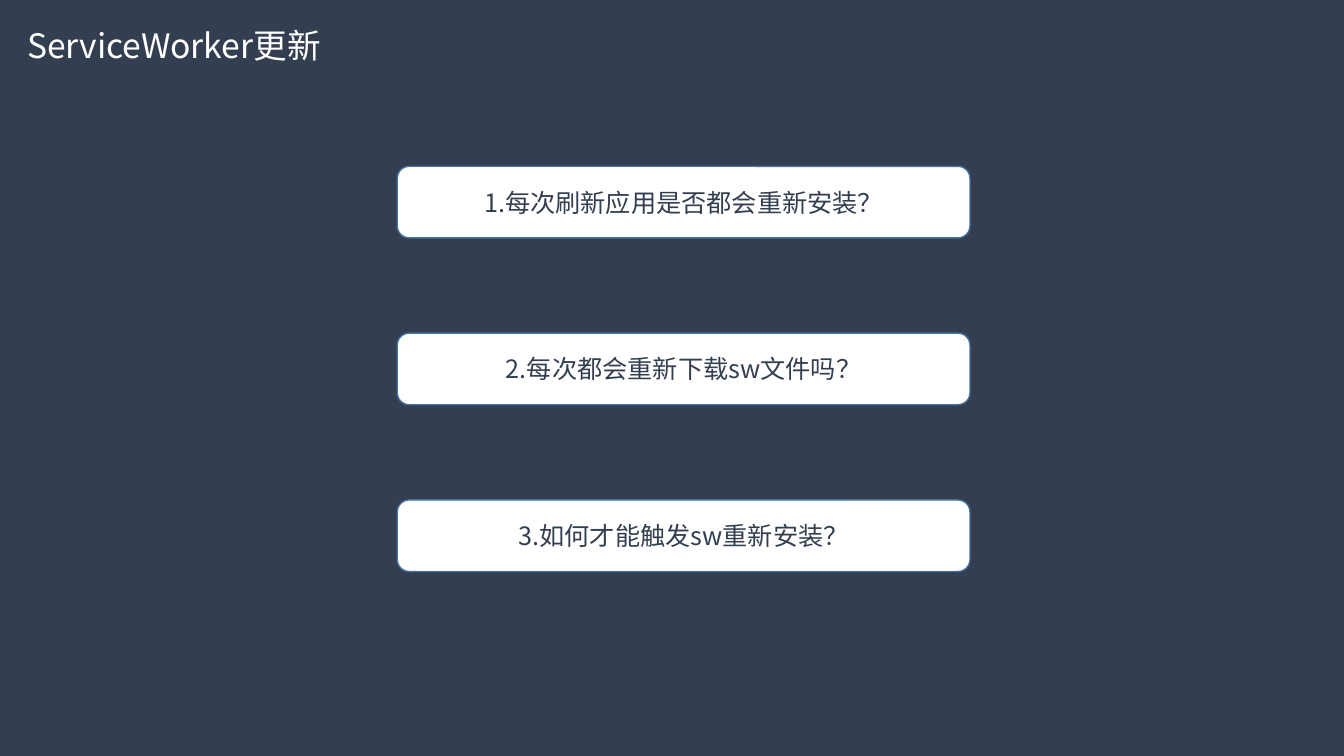
from lxml.etree import SubElement
from pptx import Presentation
from pptx.dml.color import RGBColor
from pptx.enum.shapes import MSO_SHAPE
from pptx.enum.text import MSO_ANCHOR, MSO_AUTO_SIZE, PP_ALIGN
from pptx.oxml.ns import qn
from pptx.util import Inches, Pt

FONT = "Noto Sans CJK SC"
COLORS = {"background": "333F50", "white": "FFFFFF", "outline": "43739E"}

# Question cards, in inches
CARD_LEFT, CARD_TOP = 3.94, 1.65
CARD_WIDTH, CARD_HEIGHT = 5.68, 0.71
CARD_PITCH = 1.655

QUESTIONS = [
    "1.每次刷新应用是否都会重新安装？",
    "2.每次都会重新下载sw文件吗？",
    "3.如何才能触发sw重新安装？",
]


def color(name):
    return RGBColor.from_string(COLORS[name])


def add_run(paragraph, text, size, color_name):
    run = paragraph.add_run()
    run.text = text
    run.font.size = Pt(size)
    run.font.color.rgb = color(color_name)
    run.font.name = FONT
    # The East Asian typeface has no public setter
    SubElement(run._r.get_or_add_rPr(), qn("a:ea"), typeface=FONT)


def add_title(slide, text):
    box = slide.shapes.add_textbox(Inches(0.17), Inches(0.2), Inches(5.26), Inches(0.5))
    frame = box.text_frame
    frame.word_wrap = True
    frame.auto_size = MSO_AUTO_SIZE.SHAPE_TO_FIT_TEXT
    add_run(frame.paragraphs[0], text, 24, "white")


def add_question(slide, row, text):
    card = slide.shapes.add_shape(
        MSO_SHAPE.ROUNDED_RECTANGLE,
        Inches(CARD_LEFT), Inches(CARD_TOP + row * CARD_PITCH),
        Inches(CARD_WIDTH), Inches(CARD_HEIGHT),
    )
    card.shadow.inherit = False
    card.fill.solid()
    card.fill.fore_color.rgb = color("white")
    card.line.color.rgb = color("outline")
    card.line.width = Pt(1)
    frame = card.text_frame
    frame.word_wrap = True
    frame.vertical_anchor = MSO_ANCHOR.MIDDLE
    paragraph = frame.paragraphs[0]
    paragraph.alignment = PP_ALIGN.CENTER
    add_run(paragraph, text, 18, "background")


def main():
    presentation = Presentation()
    presentation.slide_width = Inches(13.33)
    presentation.slide_height = Inches(7.5)
    slide = presentation.slides.add_slide(presentation.slide_layouts[6])

    # Background
    slide.background.fill.solid()
    slide.background.fill.fore_color.rgb = color("background")

    # Title and questions
    add_title(slide, "ServiceWorker更新")
    for row, question in enumerate(QUESTIONS):
        add_question(slide, row, question)

    presentation.save("out.pptx")


main()
